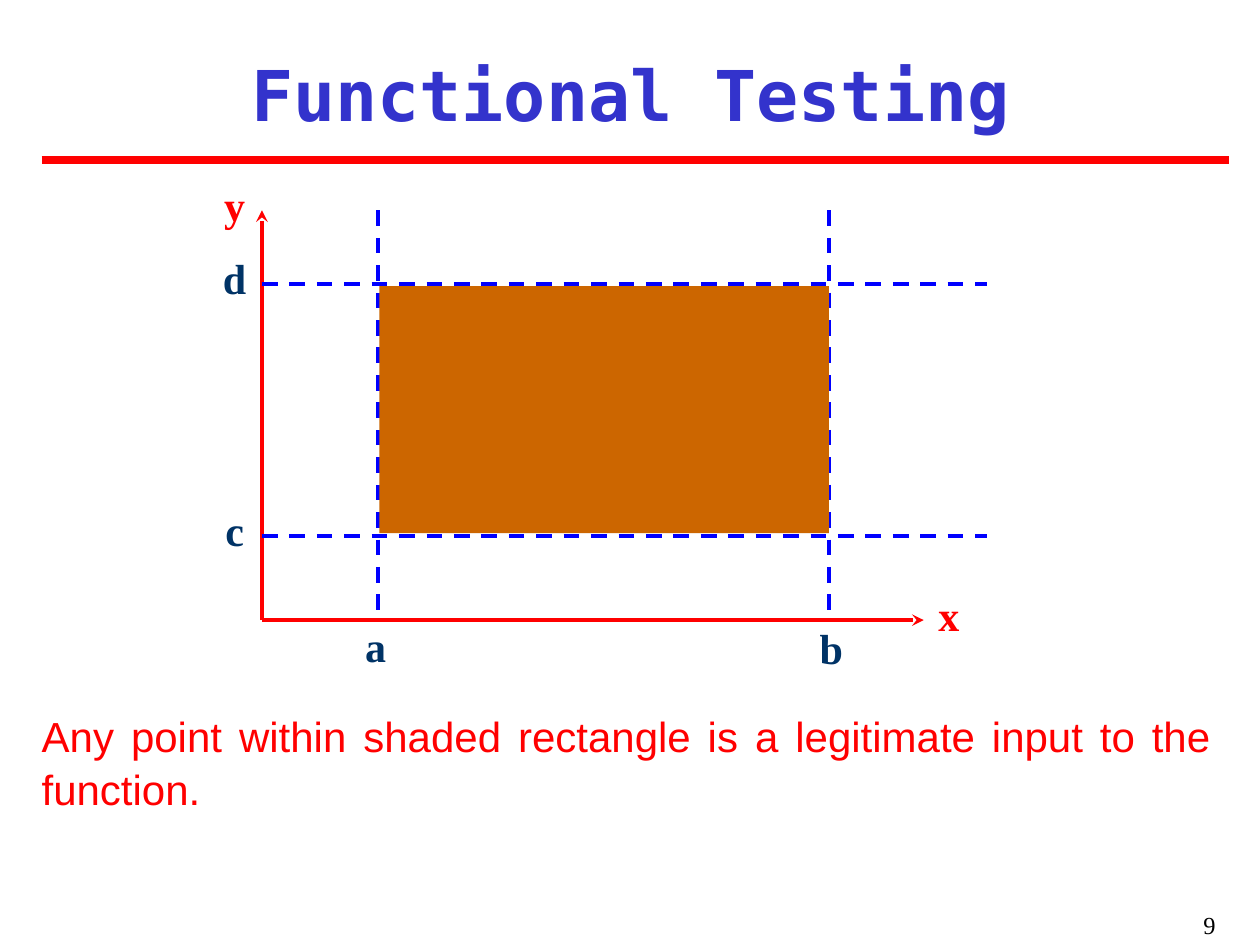
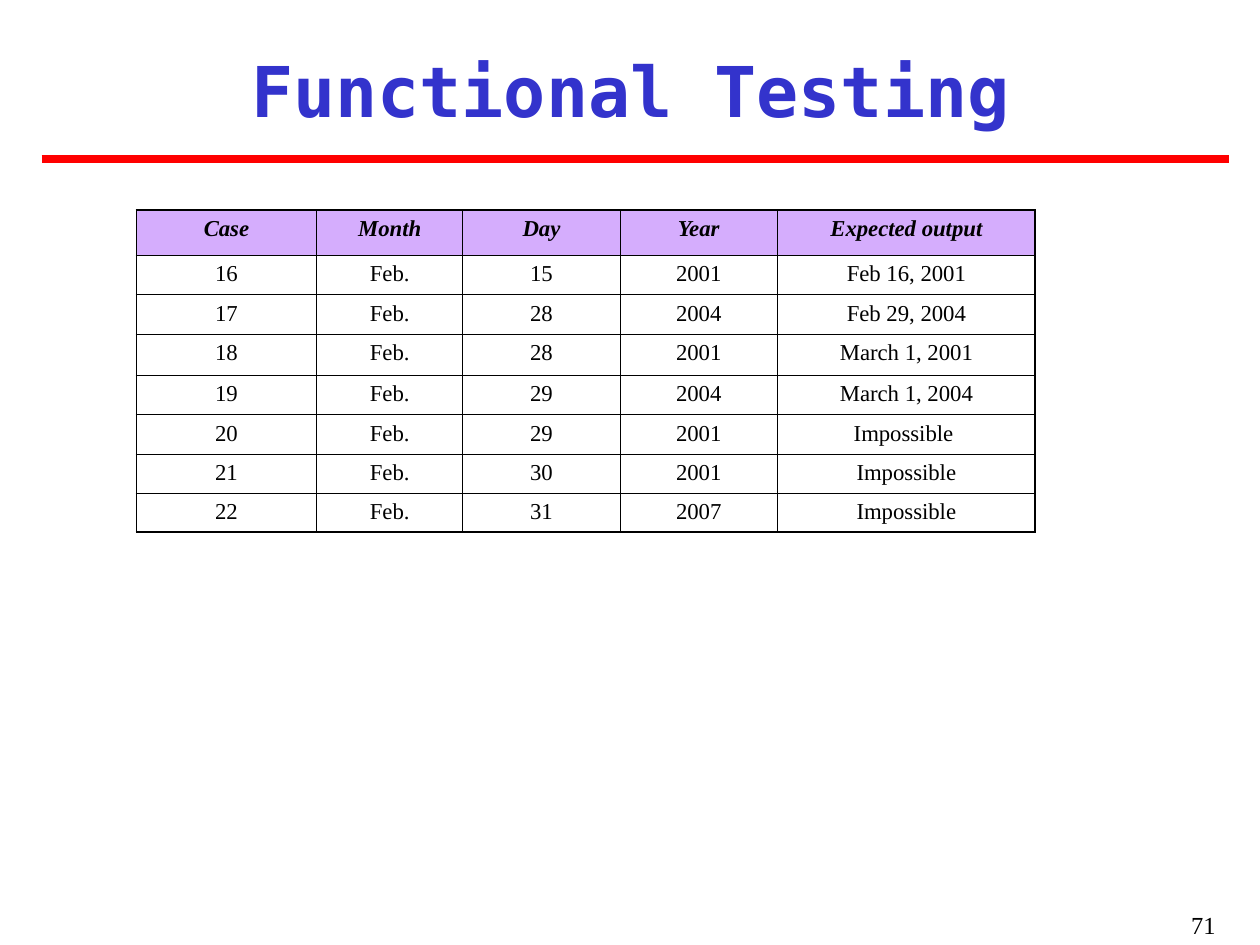
"""Build two slides on functional testing: an input domain diagram and a test case table."""

from lxml.etree import SubElement
from pptx import Presentation
from pptx.dml.color import RGBColor
from pptx.enum.dml import MSO_LINE
from pptx.enum.shapes import MSO_CONNECTOR, MSO_SHAPE
from pptx.enum.text import MSO_ANCHOR, MSO_AUTO_SIZE, PP_ALIGN
from pptx.oxml.ns import qn
from pptx.util import Cm, Pt

COLOURS = {
    "title": "3333CC",
    "red": "FF0000",
    "guide": "0000FF",
    "limit": "003366",
    "domain": "CC6600",
    "header": "D5ADFD",
    "white": "FFFFFF",
    "black": "000000",
}
SERIF = "Times New Roman"
TITLE_AND_BODY, TITLE_ONLY = 1, 5

ORIGIN_X, ORIGIN_Y = 5.28, 12.5
AXIS_TOP, AXIS_RIGHT = 4.24, 18.62
GUIDE_RIGHT = 19.89
A_X, B_X = 7.62, 16.72
D_Y, C_Y = 5.72, 10.8

AXIS_LABELS = [("y", 4.45, 3.81), ("x", 18.85, 12.07)]
LIMIT_LABELS = [("a", 7.29, 12.7), ("b", 16.48, 12.73), ("c", 4.45, 10.36), ("d", 4.45, 5.28)]

COLUMN_WIDTHS = [3.63, 2.95, 3.17, 3.17, 5.2]
ROW_HEIGHTS = [0.91, 0.79, 0.79, 0.84, 0.79, 0.79, 0.79, 0.79]
CASES = [
    ("Case", "Month", "Day", "Year", "Expected output"),
    ("16", "Feb.", "15", "2001", "Feb 16, 2001"),
    ("17", "Feb.", "28", "2004", "Feb 29, 2004"),
    ("18", "Feb.", "28", "2001", "March 1, 2001"),
    ("19", "Feb.", "29", "2004", "March 1, 2004"),
    ("20", "Feb.", "29", "2001", "Impossible "),
    ("21", "Feb.", "30", "2001", "Impossible"),
    ("22", "Feb.", "31", "2007", "Impossible"),
]


def colour(name):
    return RGBColor.from_string(COLOURS[name])


def place(shape, left, top, width, height):
    shape.left, shape.top = Cm(left), Cm(top)
    shape.width, shape.height = Cm(width), Cm(height)


def set_frame(frame, side, top, anchor):
    frame.word_wrap = True
    frame.auto_size = MSO_AUTO_SIZE.NONE
    frame.margin_left = frame.margin_right = Cm(side)
    frame.margin_top = frame.margin_bottom = Cm(top)
    frame.vertical_anchor = anchor


def write(frame, text, size, font, ink, align, bold=False, italic=False):
    para = frame.paragraphs[0]
    para.text = text
    para.alignment = align
    para.space_before = Pt(0)
    para.font.size = Pt(size)
    para.font.name = font
    para.font.bold = bold
    para.font.italic = italic
    para.font.color.rgb = colour(ink)
    return para


def add_line(page, start, end, ink, width=2.25, dashed=False, arrow=False):
    points = [Cm(value) for value in (*start, *end)]
    line = page.shapes.add_connector(MSO_CONNECTOR.STRAIGHT, *points)
    line.line.color.rgb = colour(ink)
    line.line.width = Pt(width)
    if dashed:
        line.line.dash_style = MSO_LINE.DASH
    if arrow:
        SubElement(line.line._get_or_add_ln(), qn("a:tailEnd"), type="stealth")
    SubElement(line._element.spPr, qn("a:effectLst"))


def add_page(deck, layout, title_top, rule_top, number):
    page = deck.slides.add_slide(deck.slide_layouts[layout])
    add_line(page, (0.84, rule_top), (24.77, rule_top), "red", 4.5)
    title = page.shapes.title
    place(title, 0.64, title_top, 24.13, 2.11)
    set_frame(title.text_frame, 0.05, 0.13, MSO_ANCHOR.MIDDLE)
    write(title.text_frame, "Functional Testing", 40, "DejaVu Sans Mono", "title",
          PP_ALIGN.CENTER, bold=True)
    box = page.shapes.add_textbox(Cm(19.48), Cm(18.21), Cm(5.28), Cm(0.84))
    set_frame(box.text_frame, 0.25, 0.13, MSO_ANCHOR.TOP)
    write(box.text_frame, number, 14, SERIF, "black", PP_ALIGN.RIGHT)
    return page


def add_statement(page, text):
    body = page.placeholders[1]
    place(body, 0.84, 14.27, 23.57, 2.03)
    set_frame(body.text_frame, 0, 0, MSO_ANCHOR.TOP)
    properties = body.text_frame.paragraphs[0]._p.get_or_add_pPr()
    properties.set("marL", "0")
    properties.set("indent", "0")
    SubElement(properties, qn("a:buNone"))
    para = write(body.text_frame, text, 24, "Arial", "red", PP_ALIGN.JUSTIFY)
    para.line_spacing = 1.05


def add_label(page, text, left, top, ink):
    box = page.shapes.add_textbox(Cm(left), Cm(top), Cm(0.56), Cm(0.64))
    set_frame(box.text_frame, 0, 0, MSO_ANCHOR.MIDDLE)
    write(box.text_frame, text, 24, SERIF, ink, PP_ALIGN.CENTER, bold=True)


def add_input_domain(page):
    origin = (ORIGIN_X, ORIGIN_Y)
    add_line(page, origin, (ORIGIN_X, AXIS_TOP), "red", arrow=True)
    add_line(page, origin, (AXIS_RIGHT, ORIGIN_Y), "red", arrow=True)
    for limit in (D_Y, C_Y):
        add_line(page, (ORIGIN_X, limit), (GUIDE_RIGHT, limit), "guide", dashed=True)
    for limit in (A_X, B_X):
        add_line(page, (limit, AXIS_TOP), (limit, ORIGIN_Y), "guide", dashed=True)
    for ink, labels in (("red", AXIS_LABELS), ("limit", LIMIT_LABELS)):
        for text, left, top in labels:
            add_label(page, text, left, top, ink)
    domain = page.shapes.add_shape(
        MSO_SHAPE.RECTANGLE, Cm(A_X + 0.03), Cm(D_Y + 0.05),
        Cm(B_X - A_X - 0.04), Cm(C_Y - D_Y - 0.1))
    domain.shadow.inherit = False
    domain.fill.solid()
    domain.fill.fore_color.rgb = colour("domain")
    domain.line.fill.background()


def add_borders(cell, outer_sides):
    properties = cell._tc.get_or_add_tcPr()
    for side in "LRTB":
        width = Pt(1.08 if side in outer_sides else 0.45)
        line = SubElement(properties, qn(f"a:ln{side}"), w=str(width))
        fill = SubElement(line, qn("a:solidFill"))
        SubElement(fill, qn("a:srgbClr"), val=COLOURS["black"])


def add_case_table(page):
    last_row, last_column = len(CASES) - 1, len(COLUMN_WIDTHS) - 1
    table = page.shapes.add_table(
        len(CASES), len(COLUMN_WIDTHS), Cm(2.75), Cm(4.24),
        Cm(sum(COLUMN_WIDTHS)), Cm(sum(ROW_HEIGHTS))).table
    table.horz_banding = False
    for column, width in zip(table.columns, COLUMN_WIDTHS):
        column.width = Cm(width)
    for row, height in zip(table.rows, ROW_HEIGHTS):
        row.height = Cm(height)
    for row, values in enumerate(CASES):
        heading = row == 0
        for column, text in enumerate(values):
            cell = table.cell(row, column)
            edges = {"L": column == 0, "R": column == last_column,
                     "T": heading, "B": row == last_row}
            add_borders(cell, [side for side, outer in edges.items() if outer])
            cell.fill.solid()
            cell.fill.fore_color.rgb = colour("header" if heading else "white")
            write(cell.text_frame, text, 13, SERIF, "black", PP_ALIGN.CENTER,
                  bold=heading, italic=heading)


def main():
    deck = Presentation()
    deck.slide_width, deck.slide_height = Cm(25.4), Cm(19.05)

    page = add_page(deck, TITLE_AND_BODY, 0.84, 3.23, "9")
    add_statement(page, "Any point within shaded rectangle is a legitimate input to the function.")
    add_input_domain(page)

    page = add_page(deck, TITLE_ONLY, 0.74, 3.2, "71")
    add_case_table(page)

    deck.save("out.pptx")


if __name__ == "__main__":
    main()
